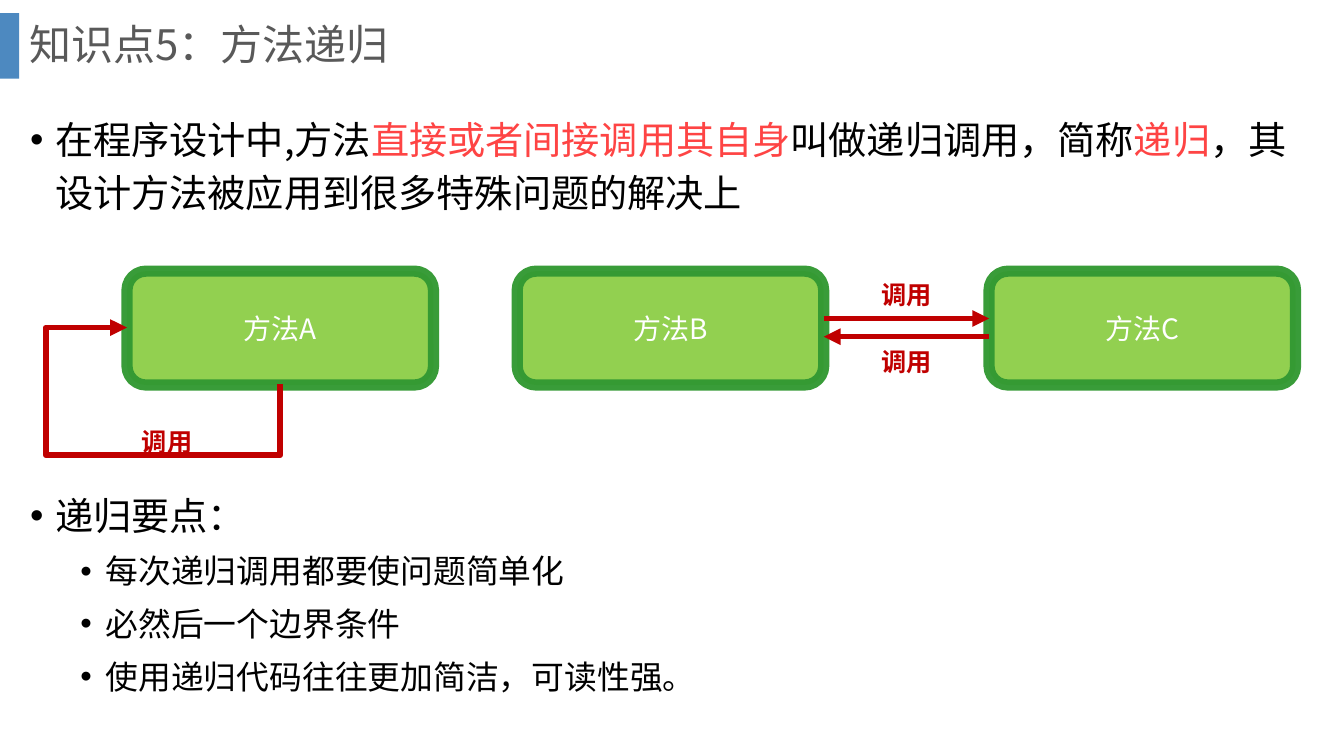
from lxml import etree
from pptx import Presentation
from pptx.dml.color import RGBColor
from pptx.enum import shapes, text
from pptx.oxml import ns
from pptx.util import Inches, Pt

FONT = "Noto Sans CJK SC"
BLACK, RED, ARROW_RED, WHITE = "000000", "FE4444", "C00000", "FFFFFF"


def paint(fill, color, opacity=100):
    """Fill solidly with a hex colour at an opacity in percent."""
    fill.solid()
    fill.fore_color.rgb = RGBColor.from_string(color)
    if opacity < 100:
        srgb = fill._xPr.find(".//" + ns.qn("a:srgbClr"))
        etree.SubElement(srgb, ns.qn("a:alpha"), val=str(opacity * 1000))


def add_run(paragraph, words, color, **formats):
    run = paragraph.add_run()
    run.text = words
    paint(run.font.fill, color)
    for key, value in {"name": FONT, **formats}.items():
        setattr(run.font, key, value)
    etree.SubElement(run.font._element, ns.qn("a:ea"), typeface=FONT)


prs = Presentation()
prs.slide_width, prs.slide_height = Inches(13.33), Inches(7.5)
slide = prs.slides.add_slide(prs.slide_layouts[5])

# Heading
accent_bar = slide.shapes.add_shape(
    shapes.MSO_SHAPE.RECTANGLE, 0, Inches(0.13), Inches(0.19), Inches(0.65))
accent_bar.shadow.inherit = False
paint(accent_bar.fill, "2E75B6", 85)
accent_bar.line.fill.background()

heading = slide.shapes.title
heading_place = {"left": 0.19, "top": 0, "width": 12.66, "height": 0.93}
for key, value in heading_place.items():
    setattr(heading, key, Inches(value))
heading.text_frame.vertical_anchor = text.MSO_ANCHOR.MIDDLE
heading.text_frame.auto_size = text.MSO_AUTO_SIZE.NONE
heading_line = heading.text_frame.paragraphs[0]
heading_line.alignment = text.PP_ALIGN.LEFT
heading_line.line_spacing = 0.9
add_run(heading_line, "知识点5：方法递归", "595959", size=Pt(30))

# Bulleted text: level and coloured pieces of each paragraph
definition = [(0, [("在程序设计中,方法", BLACK), ("直接或者间接调用其自身", RED),
                   ("叫做递归调用，简称", BLACK), ("递归", RED),
                   ("，其设计方法被应用到很多特殊问题的解决上", BLACK)])]
key_points = [(0, [("递归要点：", BLACK)]),
              (1, [("每次递归调用都要使问题简单化", BLACK)]),
              (1, [("必然后一个边界条件", BLACK)]),
              (1, [("使用递归代码往往更加简洁，可读性强。", BLACK)])]
levels = [{"size": 27.3, "indent": 0.25}, {"size": 23.4, "indent": 0.75}]

for top, height, points in [(1.03, 1.4, definition), (4.76, 2.6, key_points)]:
    body = slide.shapes.add_textbox(
        Inches(0.2), Inches(top), Inches(12.9), Inches(height)).text_frame
    body.word_wrap = True
    for number, (level, pieces) in enumerate(points):
        point = body.add_paragraph() if number else body.paragraphs[0]
        point.level = level
        point.line_spacing = 1.16
        if number:
            point.space_before = Pt(5)
        props = point._p.get_or_add_pPr()
        props.set("marL", str(Inches(levels[level]["indent"])))
        props.set("indent", str(Inches(-0.25)))
        etree.SubElement(props, ns.qn("a:buFont"), typeface="Arial")
        etree.SubElement(props, ns.qn("a:buChar"), char="•")
        for words, color in pieces:
            add_run(point, words, color, size=Pt(levels[level]["size"]))

# Methods
for name, left in [("方法A", 1.26), ("方法B", 5.13), ("方法C", 9.81)]:
    method = slide.shapes.add_shape(
        shapes.MSO_SHAPE.ROUNDED_RECTANGLE,
        Inches(left), Inches(2.69), Inches(3.04), Inches(1.13))
    method.shadow.inherit = False
    paint(method.fill, "92D050")
    method.line.width = Pt(8)
    paint(method.line.fill, "339933", 96)
    method.text_frame.vertical_anchor = text.MSO_ANCHOR.MIDDLE
    method_line = method.text_frame.paragraphs[0]
    method_line.alignment = text.PP_ALIGN.CENTER
    add_run(method_line, name, WHITE, size=Pt(20))

# Calls: A to itself, B to C, C to B
ELBOW, STRAIGHT = shapes.MSO_CONNECTOR.ELBOW, shapes.MSO_CONNECTOR.STRAIGHT
calls = [(ELBOW, 2.3, 2.77, 1.74, 4.29),
         (STRAIGHT, 8.17, 3.16, 9.81, 3.16),
         (STRAIGHT, 9.81, 3.34, 8.17, 3.34)]
for kind, *ends in calls:
    call = slide.shapes.add_connector(kind, *map(Inches, ends))
    call.line.width = Pt(4)
    paint(call.line.fill, ARROW_RED)
    etree.SubElement(call.line._get_or_add_ln(), ns.qn("a:tailEnd"), type="triangle")
    call_props = call._element.spPr
    etree.SubElement(call_props, ns.qn("a:effectLst"))
    if kind == ELBOW:
        # A quarter turn and a fourth segment carry the loop below and left of A
        call_props.find(ns.qn("a:xfrm")).set("rot", "5400000")
        geometry = call_props.find(ns.qn("a:prstGeom"))
        geometry.set("prst", "bentConnector4")
        guides = geometry.find(ns.qn("a:avLst"))
        for guide, value in [("adj1", -126200), ("adj2", 153000)]:
            etree.SubElement(guides, ns.qn("a:gd"), name=guide, fmla=f"val {value}")

for left, top in [(1.31, 4.18), (8.64, 2.72), (8.64, 3.39)]:
    label = slide.shapes.add_textbox(
        Inches(left), Inches(top), Inches(0.71), Inches(0.4)).text_frame
    label.word_wrap = False
    label.auto_size = text.MSO_AUTO_SIZE.SHAPE_TO_FIT_TEXT
    add_run(label.paragraphs[0], "调用", ARROW_RED, size=Pt(18), bold=True)

prs.save("out.pptx")
